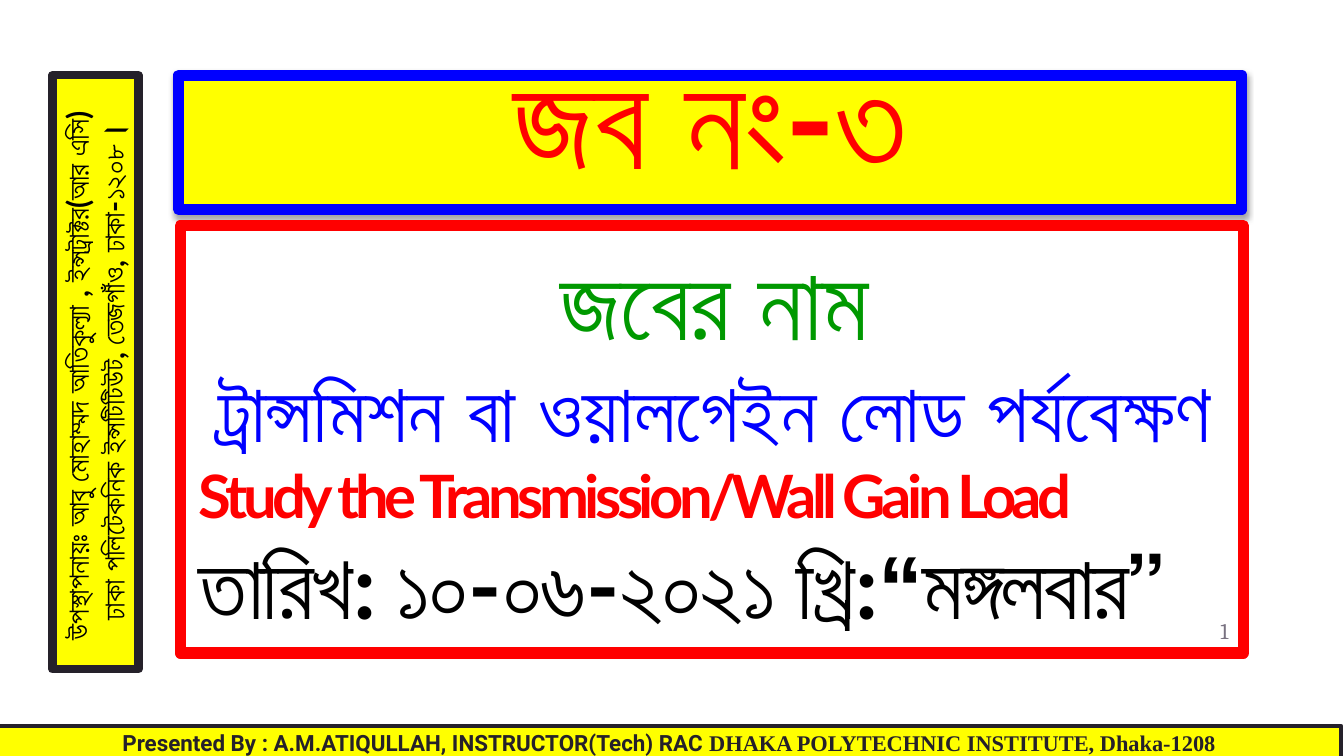
from dataclasses import dataclass
from typing import Optional

from lxml.etree import SubElement
from pptx import Presentation
from pptx.dml.color import RGBColor
from pptx.enum.shapes import MSO_SHAPE
from pptx.enum.text import MSO_ANCHOR, PP_ALIGN
from pptx.oxml.ns import qn
from pptx.util import Inches, Pt


@dataclass(frozen=True)
class Theme:
    yellow: str = "FFFF00"
    blue: str = "0000FF"
    red: str = "FF0000"
    green: str = "009900"
    black: str = "000000"
    ink: str = "25212A"
    grey: str = "797281"
    main_font: str = "Lato"
    title_size: int = 72
    heading_size: int = 54
    date_size: int = 48
    job_size: int = 44
    english_size: int = 32
    presenter_size: int = 16
    small_size: int = 12


@dataclass(frozen=True)
class Panel:
    left: float
    top: float
    width: float
    height: float
    fill: Optional[str] = None
    line: Optional[str] = None
    weight: float = 0
    rotation: float = 0
    anchor: MSO_ANCHOR = MSO_ANCHOR.TOP
    inset: float = 0.1


THEME = Theme()
TITLE = Panel(1.33, 0.56, 7.91, 1, THEME.yellow, THEME.blue, 6, anchor=MSO_ANCHOR.BOTTOM)
BODY = Panel(1.34, 1.68, 7.91, 3.18, None, THEME.red, 6)
NUMBER = Panel(8.64, 4.48, 0.6, 0.43, anchor=MSO_ANCHOR.MIDDLE)
FOOTER = Panel(-0.02, 5.4, 10, 0.25, THEME.yellow, THEME.ink, 2,
               anchor=MSO_ANCHOR.MIDDLE, inset=0.05)
PRESENTER = Panel(-1.5, 2.45, 4.42, 0.64, THEME.yellow, THEME.ink, 4.5, 270, inset=0.05)


def add_panel(page, panel: Panel):
    box = page.shapes.add_shape(
        MSO_SHAPE.RECTANGLE, Inches(panel.left), Inches(panel.top),
        Inches(panel.width), Inches(panel.height))
    box.shadow.inherit = False
    box.rotation = panel.rotation
    if panel.fill:
        box.fill.solid()
        box.fill.fore_color.rgb = RGBColor.from_string(panel.fill)
    else:
        box.fill.background()
    if panel.line:
        box.line.color.rgb = RGBColor.from_string(panel.line)
        box.line.width = Pt(panel.weight)
    else:
        box.line.fill.background()
    frame = box.text_frame
    frame.word_wrap = True
    frame.vertical_anchor = panel.anchor
    frame.margin_left = frame.margin_right = Inches(0.1)
    frame.margin_top = frame.margin_bottom = Inches(panel.inset)
    return box


def add_shadow(box) -> None:
    effects = box._element.spPr.find(qn("a:effectLst"))
    shadow = SubElement(effects, qn("a:outerShdw"), blurRad=str(Pt(3.1)),
                        dist=str(Pt(1.8)), dir="5400000", rotWithShape="0")
    color = SubElement(shadow, qn("a:srgbClr"), val=THEME.black)
    SubElement(color, qn("a:alpha"), val="35000")


def add_para(box, align: PP_ALIGN = PP_ALIGN.CENTER, hanging: bool = False):
    frame = box.text_frame
    para = frame.paragraphs[0]
    if para.runs:
        para = frame.add_paragraph()
    para.alignment = align
    if hanging:
        properties = para._p.get_or_add_pPr()
        properties.set("marL", str(Inches(0.5)))
        properties.set("indent", str(Inches(-0.46)))
    return para


def add_span(para, text: str, *, size: float, color: str,
             font: str = THEME.main_font, bold: bool = True, spacing: float = 0) -> None:
    span = para.add_run()
    span.text = text
    span.font.name = font
    span.font.size = Pt(size)
    span.font.bold = bold
    span.font.color.rgb = RGBColor.from_string(color)
    if spacing:
        span._r.get_or_add_rPr().set("spc", str(round(spacing * 100)))


def main() -> None:
    deck = Presentation()
    deck.slide_width = Inches(10)
    deck.slide_height = deck.slide_width * 9 // 16
    page = deck.slides.add_slide(deck.slide_layouts[6])

    title = add_panel(page, TITLE)
    add_shadow(title)
    para = add_para(title)
    para.line_spacing = Pt(46)
    add_span(para, "জব নং-৩", size=THEME.title_size, color=THEME.red)

    body = add_panel(page, BODY)
    add_span(add_para(body, hanging=True), "জবের নাম",
             size=THEME.heading_size, color=THEME.green)
    add_span(add_para(body, hanging=True), "ট্রান্সমিশন বা ওয়ালগেইন লোড পর্যবেক্ষণ",
             size=THEME.job_size, color=THEME.blue)
    add_span(add_para(body, PP_ALIGN.LEFT, True), "Study the Transmission/Wall Gain Load",
             size=THEME.english_size, color=THEME.red, spacing=-2.45)
    date = add_para(body, PP_ALIGN.LEFT, True)
    for text, font in (("তারিখ: ১০-০৬-২০২১ খ্রি:", THEME.main_font), ("“মঙ্গলবার”", "Arial")):
        add_span(date, text, size=THEME.date_size, color=THEME.black, font=font, spacing=-1.5)

    number = add_panel(page, NUMBER)
    add_span(add_para(number, PP_ALIGN.RIGHT), "1", size=THEME.small_size,
             color=THEME.grey, font="Cambria", bold=False)

    footer = add_para(add_panel(page, FOOTER))
    for text, font in (
        ("Presented By : A.M.ATIQULLAH, INSTRUCTOR(Tech) RAC ", "Roboto"),
        ("DHAKA POLYTECHNIC INSTITUTE, Dhaka-1208", "Times New Roman"),
    ):
        add_span(footer, text, size=THEME.small_size, color=THEME.ink, font=font)

    presenter = add_panel(page, PRESENTER)
    for text in (
        "উপস্থাপনায়ঃ আবু মোহাম্মদ আতিকুল্যা , ইন্সট্রাক্টর(আর এসি) ",
        "ঢাকা পলিটেকনিক ইন্সটিটিউট, তেজগাঁও, ঢাকা-১২০৮।",
    ):
        add_span(add_para(presenter), text, size=THEME.presenter_size, color=THEME.black)

    deck.save("out.pptx")


if __name__ == "__main__":
    main()
